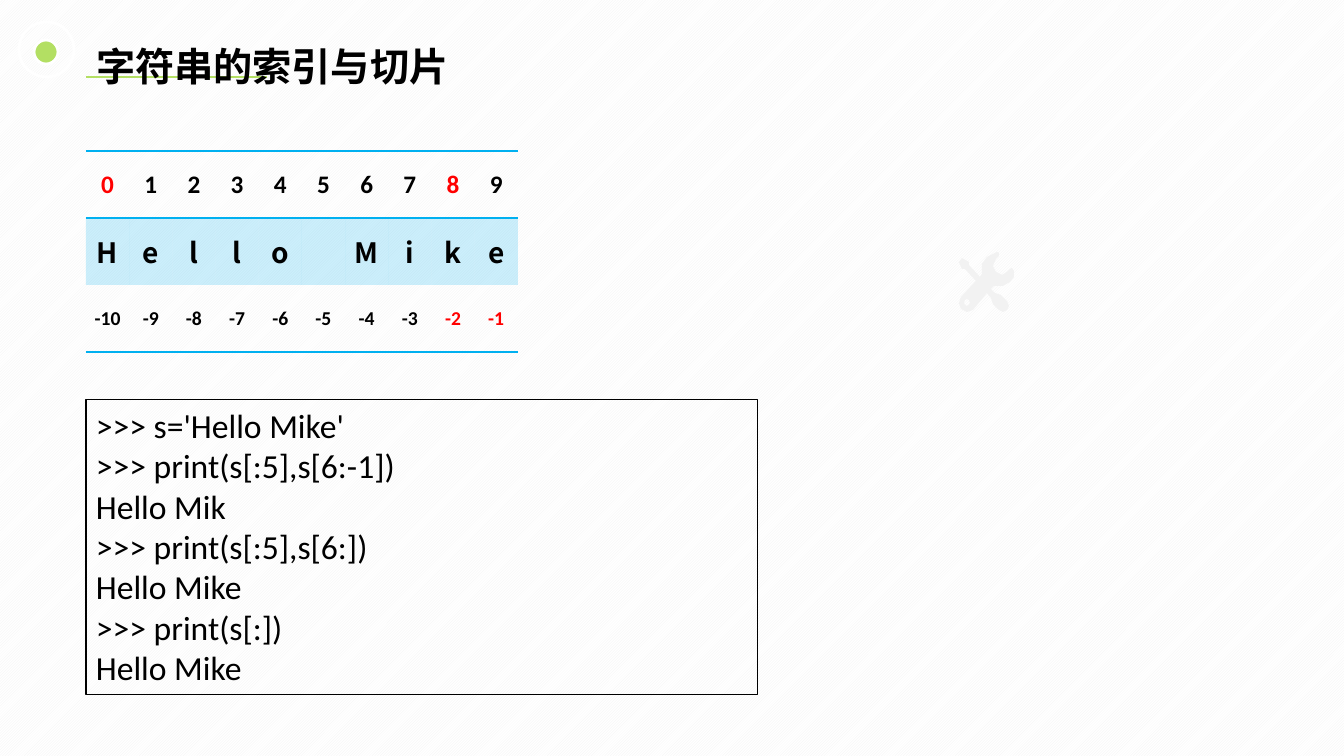
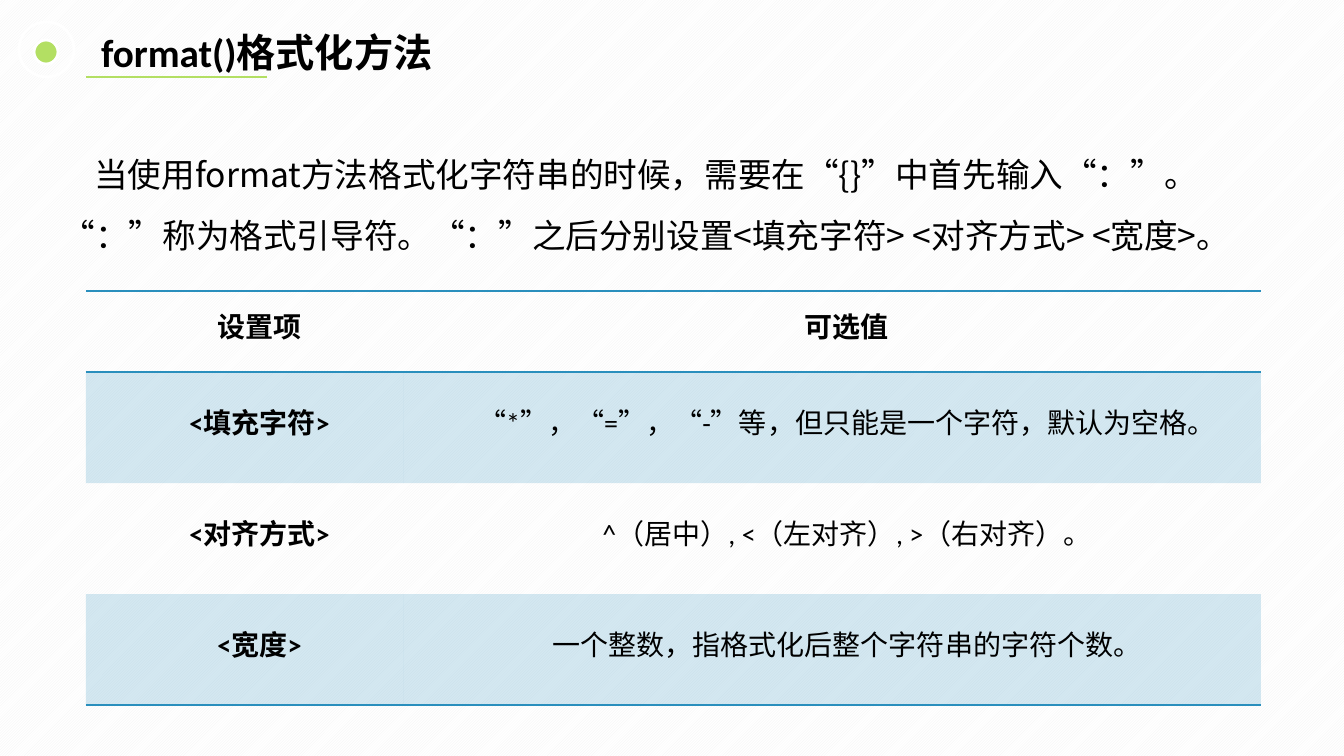
"""Build two slides on Python string slicing and the format() method."""
from lxml.etree import SubElement
from pptx import Presentation
from pptx.dml.color import RGBColor
from pptx.enum.dml import MSO_PATTERN
from pptx.enum.shapes import MSO_CONNECTOR, MSO_SHAPE
from pptx.enum.text import MSO_ANCHOR, MSO_AUTO_SIZE, PP_ALIGN
from pptx.oxml.ns import qn
from pptx.util import Pt

PIXEL = 12192000 / 1344
LATIN, CHINESE = "Calibri", "Noto Sans CJK SC"
BLACK, WHITE, RED, GREEN, PALE = "000000", "FFFFFF", "FF0000", "B3DF63", "F2F2F2"
CYAN, BLUE = "00B0F0", "2A8FBD"
PLAIN_TABLE_STYLE = "{2D5ABB26-0587-4C30-8999-92F81FD0307C}"
FIRST_LINE_INDENT = 29

INDEX_TITLE = "字符串的索引与切片"
WORD = "Hello Mike"
INDEX_ROWS = [
    (list(range(10)), 18, LATIN, (0, 8)),
    (list(WORD), 20, CHINESE, ()),
    (list(range(-10, 0)), 14, LATIN, (-2, -1)),
]
CODE_LINES = [
    ">>> s='Hello Mike'",
    ">>> print(s[:5],s[6:-1])",
    "Hello Mik",
    ">>> print(s[:5],s[6:])",
    "Hello Mike",
    ">>> print(s[:])",
    "Hello Mike",
]
FORMAT_TITLE = "format()格式化方法"
FORMAT_TEXT = [
    "当使用format方法格式化字符串的时候，需要在“{}”中首先输入“：”。",
    "“：”称为格式引导符。“：”之后分别设置<填充字符> <对齐方式> <宽度>。",
]
FORMAT_ROWS = [
    ("设置项", "可选值"),
    ("<填充字符>", "“*”，“=”，“-”等，但只能是一个字符，默认为空格。"),
    ("<对齐方式>", "^（居中）, <（左对齐）, >（右对齐）。"),
    ("<宽度>", "一个整数，指格式化后整个字符串的字符个数。"),
]
TOOLS_OUTLINE = [
    (0, 51), (2, 57), (8, 60), (14, 58), (28, 41), (32, 46), (34, 52), (40, 58),
    (44, 60), (48, 58), (50, 54), (48, 49), (42, 43), (36, 41), (32, 37), (35, 34),
    (44, 34), (51, 30), (55, 25), (55, 19), (53, 16), (51, 17), (48, 20), (43, 23),
    (37, 20), (34, 14), (37, 7), (40, 4), (40, 1), (38, 0), (28, 5), (23, 12),
    (23, 22), (21, 25), (10, 13), (10, 10), (3, 6), (0, 10), (3, 17), (6, 17),
    (17, 29), (2, 45),
]
TOOLS_HOLE = [(5, 51), (6, 48), (8, 47), (10, 48), (11, 51), (10, 53), (8, 54), (6, 53)]


def px(*lengths):
    return [round(length * PIXEL) for length in lengths]


def color(value):
    return RGBColor.from_string(value)


def place(shape, box):
    shape.left, shape.top, shape.width, shape.height = px(*box)


def add_run(paragraph, text, size, font_name=LATIN, ink=BLACK, bold=False):
    run = paragraph.add_run()
    run.text = text
    run.font.size, run.font.bold, run.font.name = Pt(size), bold, font_name
    run.font.color.rgb = color(ink)
    SubElement(run.font._element, qn("a:ea"), typeface=CHINESE)


def indent_first_line(paragraph):
    properties = paragraph._p.get_or_add_pPr()
    properties.set("marL", "0")
    properties.set("indent", str(px(FIRST_LINE_INDENT)[0]))
    return properties


def prepare_frame(shape, anchor):
    frame = shape.text_frame
    frame.word_wrap = True
    frame.auto_size = MSO_AUTO_SIZE.NONE
    frame.vertical_anchor = anchor
    return frame


def next_paragraph(frame, number):
    return frame.add_paragraph() if number else frame.paragraphs[0]


def add_decoration(slide):
    group = slide.shapes.add_group_shape()
    for box, fill in (((34, 40, 24, 24), GREEN), ((19, 22, 55, 55), None)):
        circle = group.shapes.add_shape(MSO_SHAPE.OVAL, *px(*box))
        circle.shadow.inherit = False
        if fill:
            circle.fill.solid()
            circle.fill.fore_color.rgb = color(fill)
        else:
            circle.fill.background()
        circle.line.color.rgb = color(WHITE)
        circle.line.width = Pt(2)
    rule = slide.shapes.add_connector(MSO_CONNECTOR.STRAIGHT, *px(86, 77, 267, 77))
    rule.line.color.rgb = color(GREEN)
    rule.line.width = Pt(0.75)
    SubElement(rule._element.spPr, qn("a:effectLst"))


def add_slide(presentation, layout_name, title_text, title_box):
    layout = presentation.slide_layouts.get_by_name(layout_name)
    slide = presentation.slides.add_slide(layout)
    add_decoration(slide)
    title = slide.shapes.title
    slide.shapes._spTree.append(title._element)
    place(title, title_box)
    paragraph = prepare_frame(title, MSO_ANCHOR.TOP).paragraphs[0]
    paragraph.alignment = PP_ALIGN.LEFT
    paragraph.line_spacing = 1.5
    add_run(paragraph, title_text, 28, bold=True)
    return slide


def add_border(cell, position, tag, accent):
    line = SubElement(cell._tc.get_or_add_tcPr(), qn(tag), w=str(Pt(1)))
    SubElement(SubElement(line, qn("a:solidFill")), qn("a:srgbClr"), val=accent)
    cell._tc.tcPr.insert(position, line)


def add_table(slide, box, column_shares, row_shares, accent):
    left, top, width, height = px(*box)
    table_frame = slide.shapes.add_table(
        len(row_shares), len(column_shares), left, top, width, height)
    table = table_frame.table
    table._tbl.tblPr.find(qn("a:tableStyleId")).text = PLAIN_TABLE_STYLE
    table.first_row = table.horz_banding = False
    for column, share in zip(table.columns, column_shares):
        column.width = round(width * share / sum(column_shares))
    for number, (row, share) in enumerate(zip(table.rows, row_shares)):
        row.height = round(height * share / sum(row_shares))
        for cell in row.cells:
            cell.vertical_anchor = MSO_ANCHOR.MIDDLE
            cell.margin_left, cell.margin_right = px(7, 7)
            cell.margin_top = cell.margin_bottom = 0
            cell.text_frame.paragraphs[0].alignment = PP_ALIGN.CENTER
            if number % 2:
                cell.fill.solid()
                cell.fill.fore_color.rgb = color(accent)
                tint = cell._tc.tcPr.find(".//" + qn("a:srgbClr"))
                SubElement(tint, qn("a:alpha"), val="20000")
            else:
                cell.fill.background()
            if number in (0, len(row_shares) - 1):
                add_border(cell, 0, "a:lnB", accent)
            if number == 0:
                add_border(cell, 0, "a:lnT", accent)
    return table


def add_tools_icon(slide):
    builder = slide.shapes.build_freeform(*TOOLS_OUTLINE[0], scale=PIXEL)
    builder.add_line_segments(TOOLS_OUTLINE[1:], close=True)
    builder.move_to(*TOOLS_HOLE[0])
    builder.add_line_segments(TOOLS_HOLE[1:], close=True)
    icon = builder.convert_to_shape(*px(959, 252))
    icon.shadow.inherit = False
    icon.fill.solid()
    icon.fill.fore_color.rgb = color(PALE)
    icon.line.fill.background()


def build_index_slide(presentation):
    slide = add_slide(presentation, "Title Only", INDEX_TITLE, (86, 14, 1295, 73))
    add_tools_icon(slide)
    table = add_table(slide, (86, 151, 432, 201), [1] * len(WORD), [1] * 3, CYAN)
    for row, (values, size, font_name, red_values) in zip(table.rows, INDEX_ROWS):
        for cell, value in zip(row.cells, values):
            if value != " ":
                ink = RED if value in red_values else BLACK
                paragraph = cell.text_frame.paragraphs[0]
                add_run(paragraph, str(value), size, font_name, ink, bold=True)
    code_box = slide.shapes.add_textbox(*px(86, 400, 672, 295))
    code_box.line.color.rgb = color(BLACK)
    code_box.line.width = Pt(0.75)
    frame = prepare_frame(code_box, MSO_ANCHOR.TOP)
    for number, text in enumerate(CODE_LINES):
        add_run(next_paragraph(frame, number), text, 24)


def build_format_slide(presentation):
    slide = add_slide(presentation, "Title and Content", FORMAT_TITLE, (91, 0, 1295, 74))
    body = slide.placeholders[1]
    place(body, (-16, 132, 1295, 125))
    frame = prepare_frame(body, MSO_ANCHOR.MIDDLE)
    for number, text in enumerate(FORMAT_TEXT):
        paragraph = next_paragraph(frame, number)
        SubElement(indent_first_line(paragraph), qn("a:buNone"))
        paragraph.alignment = PP_ALIGN.CENTER
        paragraph.line_spacing = 1.5
        paragraph.space_before = Pt(0)
        add_run(paragraph, text, 24, CHINESE)
    table = add_table(slide, (86, 291, 1175, 414), (318, 857), (81, 111, 111, 111), BLUE)
    for row_number, (row, texts) in enumerate(zip(table.rows, FORMAT_ROWS)):
        for column_number, (cell, text) in enumerate(zip(row.cells, texts)):
            paragraph = cell.text_frame.paragraphs[0]
            indent_first_line(paragraph)
            paragraph.line_spacing = Pt(19.5)
            add_run(paragraph, text, 20, bold=row_number == 0 or column_number == 0)


def main():
    presentation = Presentation()
    presentation.slide_width, presentation.slide_height = px(1344, 756)
    backdrop = presentation.slide_master.background.fill
    backdrop.patterned()
    backdrop.pattern = MSO_PATTERN.LIGHT_UPWARD_DIAGONAL
    backdrop.fore_color.rgb = color(PALE)
    backdrop.back_color.rgb = color(WHITE)
    build_index_slide(presentation)
    build_format_slide(presentation)
    presentation.save("out.pptx")


if __name__ == "__main__":
    main()
